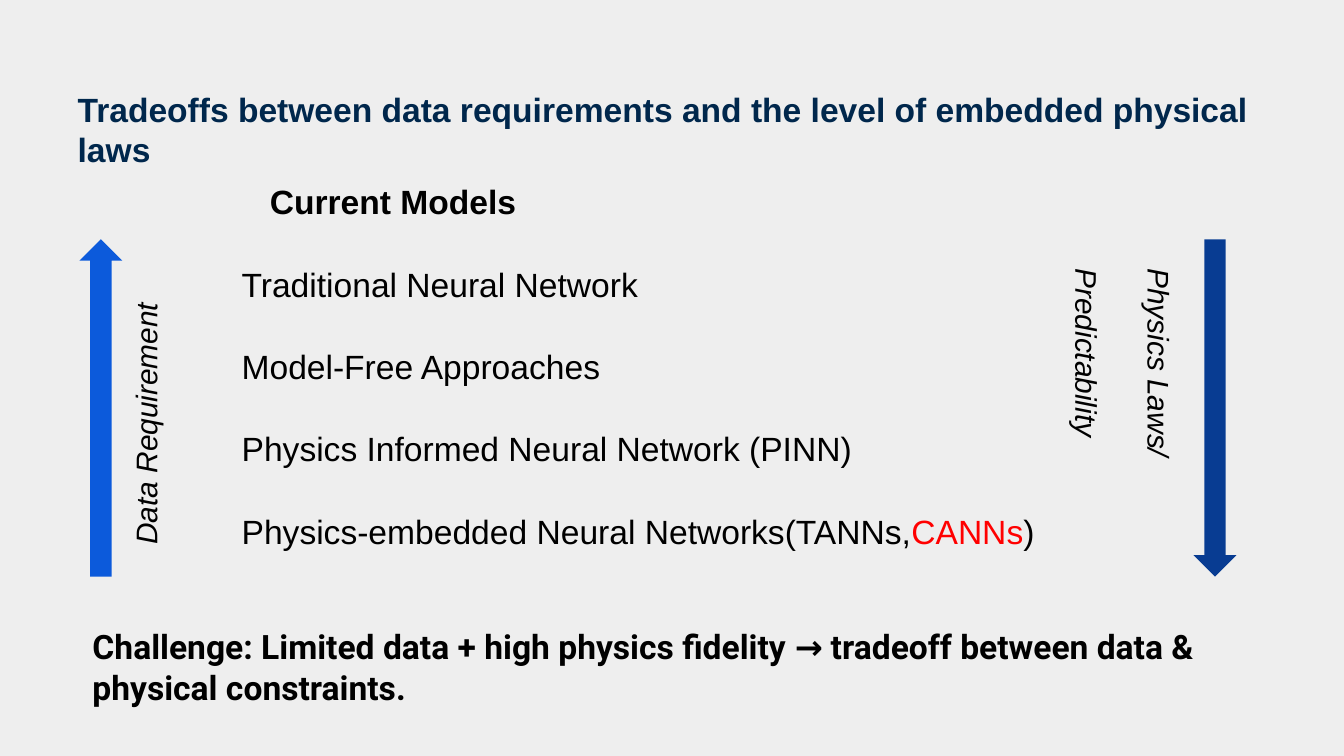
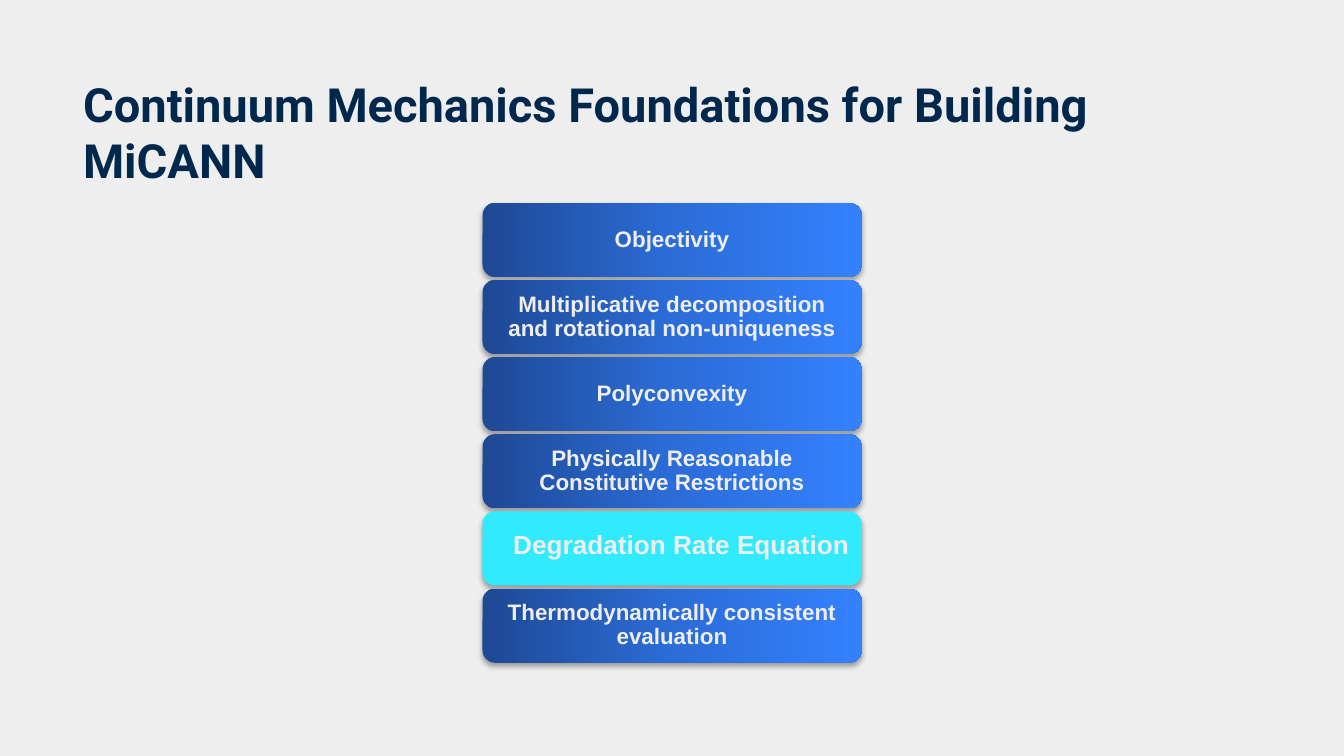
import copy

import pptx
import pptx.dml.color
import pptx.enum.shapes
import pptx.enum.text
import pptx.oxml
import pptx.oxml.ns
import pptx.util

Pt = pptx.util.Pt
RGBColor = pptx.dml.color.RGBColor
SHAPE = pptx.enum.shapes.MSO_SHAPE
ALIGN = pptx.enum.text.PP_ALIGN
ANCHOR = pptx.enum.text.MSO_ANCHOR
qn = pptx.oxml.ns.qn

WIDTH = pptx.util.Inches(10)
HEIGHT = WIDTH * 9 // 16
UNIT = WIDTH // 100

PAPER = RGBColor(0xEE, 0xEE, 0xEE)
NAVY = RGBColor(0x00, 0x27, 0x4C)
BLACK = RGBColor(0x00, 0x00, 0x00)
RED = RGBColor(0xFF, 0x00, 0x00)
DATA_BLUE = RGBColor(0x0C, 0x5A, 0xDB)
PHYSICS_BLUE = RGBColor(0x08, 0x3C, 0x92)
CYAN = RGBColor(0x31, 0xEA, 0xFE)
GRADIENT = [
    (0, RGBColor(0x1E, 0x49, 0x94)),
    (0.5, RGBColor(0x2B, 0x6C, 0xD7)),
    (1, RGBColor(0x34, 0x81, 0xFF)),
]

TITLE = {"name": "Arial", "size": Pt(18), "bold": True}
BIG_TITLE = {"name": "Roboto", "size": Pt(25.2), "bold": True}
BODY = {"name": "Arial", "size": Pt(18), "bold": False}
CHALLENGE = {"name": "Roboto", "size": Pt(18), "bold": True}
AXIS = {"name": "Arial", "size": Pt(16), "italic": True}
BLOCK = {"name": "Arial", "size": Pt(12), "bold": True}
ACCENT = {"name": "Arial", "size": Pt(14), "bold": True}
CENTRED = {"alignment": ALIGN.CENTER, "line_spacing": 0.9}

MODELS = [
    [("Traditional Neural Network", BLACK)],
    [("Model-Free Approaches", BLACK)],
    [("Physics Informed Neural Network (PINN)", BLACK)],
    [("Physics-embedded Neural Networks(TANNs,", BLACK), ("CANNs", RED), (")", BLACK)],
]
FOUNDATIONS = [
    "Objectivity",
    "Multiplicative decomposition and rotational non-uniqueness",
    "Polyconvexity",
    "Physically Reasonable Constitutive Restrictions",
    None,
    "Thermodynamically consistent evaluation",
]


def grid(*cells):
    return [round(cell * UNIT) for cell in cells]


def assign(target, values):
    for name, value in values.items():
        setattr(target, name, value)


def setup_frame(tf, inset_x, inset_y, anchor=ANCHOR.TOP):
    x, y = grid(inset_x, inset_y)
    assign(tf, {
        "word_wrap": True, "vertical_anchor": anchor,
        "margin_left": x, "margin_right": x,
        "margin_top": y, "margin_bottom": y,
    })


def add_runs(p, runs, font, layout=None):
    assign(p, layout or {})
    for text, color in runs:
        r = p.add_run()
        r.text = text
        assign(r.font, font)
        r.font.color.rgb = color


def add_text(s, box, paragraphs, inset_y=1, anchor=ANCHOR.TOP, gap=0, rotation=0):
    sp = s.shapes.add_textbox(*grid(*box))
    sp.rotation = rotation
    tf = sp.text_frame
    setup_frame(tf, 1, inset_y, anchor)
    for i, (runs, font, layout) in enumerate(paragraphs):
        p = tf.add_paragraph() if i else tf.paragraphs[0]
        add_runs(p, runs, font, layout)
        if i and gap:
            p.space_before = Pt(gap)
    return sp


def add_arrow(s, left, color, rotation=0):
    sp = s.shapes.add_shape(SHAPE.UP_ARROW, *grid(left, 17.8, 3.2, 25.1))
    sp.rotation = rotation
    sp.shadow.inherit = False
    sp.fill.solid()
    sp.fill.fore_color.rgb = color
    sp.line.fill.background()


def fill_gradient(fill):
    fill.gradient()
    fill.gradient_angle = 0
    stops = fill.gradient_stops
    first = stops[0]._gs
    first.getparent().insert(1, copy.deepcopy(first))
    for stop, (position, color) in zip(fill.gradient_stops, GRADIENT):
        stop.color.rgb = color
        stop.position = position


def add_shadow(sp):
    sp.shadow.inherit = False
    effects = sp._element.spPr.find(qn("a:effectLst"))
    effects.append(pptx.oxml.parse_xml(
        f'<a:outerShdw {pptx.oxml.ns.nsdecls("a")} blurRad="{Pt(3.1)}" '
        f'dist="{Pt(1.8)}" dir="5400000" rotWithShape="0">'
        '<a:srgbClr val="000000"><a:alpha val="35000"/></a:srgbClr></a:outerShdw>'
    ))


def add_block(s, row, text):
    box = grid(35.9, 15.1 + 5.74 * row, 28.2, 5.5)
    sp = s.shapes.add_shape(SHAPE.ROUNDED_RECTANGLE, *box)
    sp.line.fill.background()
    if text:
        fill_gradient(sp.fill)
        setup_frame(sp.text_frame, 0.8, 0.2, ANCHOR.MIDDLE)
        add_runs(sp.text_frame.paragraphs[0], [(text, PAPER)], BLOCK, CENTRED)
    else:
        sp.fill.solid()
        sp.fill.fore_color.rgb = CYAN
    add_shadow(sp)


def build_tradeoffs(s):
    title = "Tradeoffs between data requirements and the level of embedded physical laws"
    add_text(s, (4.8, 6.6, 90.4, 7), [([(title, NAVY)], TITLE, None)], anchor=ANCHOR.BOTTOM)

    heading = ([("Current Models", BLACK)], TITLE, None)
    models = [(runs, BODY, None) for runs in MODELS]
    sp = add_text(s, (17, 12.5, 62, 30.6), [heading, *models], gap=22.5)
    indent, = grid(2.1)
    sp.text_frame.paragraphs[0]._p.get_or_add_pPr().set("marL", str(indent))

    challenge = ("Challenge: Limited data + high physics fidelity → "
                 "tradeoff between data & physical constraints.")
    add_text(s, (5.9, 45.6, 89.6, 8), [([(challenge, BLACK)], CHALLENGE, None)])

    add_arrow(s, 5.9, DATA_BLUE)
    add_text(s, (-1, 27.8, 23.7, 3.7), [([("Data Requirement", BLACK)], AXIS, None)],
             inset_y=0.5, rotation=270)
    add_arrow(s, 88.8, PHYSICS_BLUE, rotation=180)
    labels = [([(text, BLACK)], AXIS, None) for text in ("Physics Laws/", "Predictability")]
    add_text(s, (75.9, 24.8, 18, 6.4), labels, inset_y=0.5, gap=19.6, rotation=90)


def build_foundations(s):
    title = "Continuum Mechanics Foundations for Building MiCANN"
    add_text(s, (5.2, 4.6, 89.6, 6.3), [([(title, NAVY)], BIG_TITLE, None)])
    for row, text in enumerate(FOUNDATIONS):
        add_block(s, row, text)
    accent = ([("Degradation Rate Equation", PAPER)], ACCENT, CENTRED)
    add_text(s, (22.6, 39.1, 56.2, 3.1), [accent], inset_y=0.5)


def main():
    prs = pptx.Presentation()
    prs.slide_width, prs.slide_height = WIDTH, HEIGHT
    background = prs.slide_master.background.fill
    background.solid()
    background.fore_color.rgb = PAPER
    for build in (build_tradeoffs, build_foundations):
        build(prs.slides.add_slide(prs.slide_layouts[6]))
    prs.save("out.pptx")


if __name__ == "__main__":
    main()
